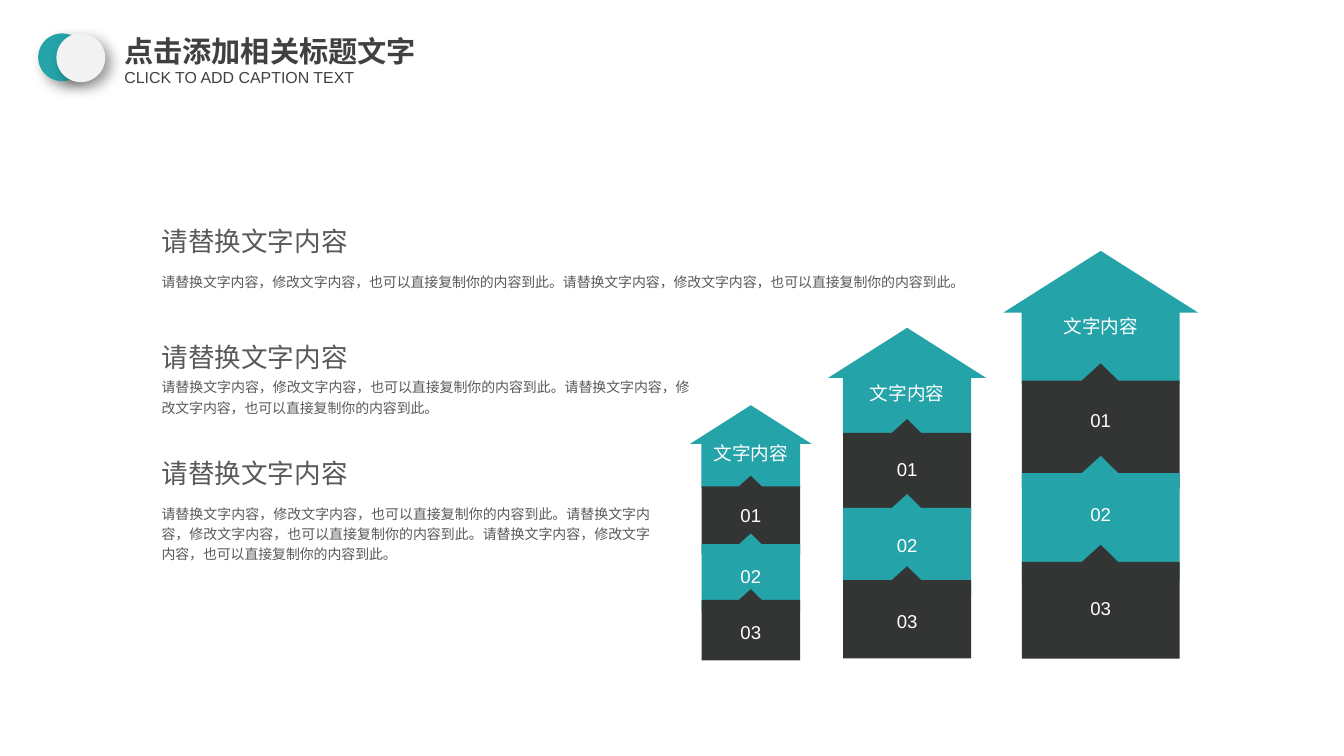
from lxml.etree import SubElement
from pptx import Presentation
from pptx.dml.color import RGBColor
from pptx.enum.shapes import MSO_SHAPE as SHAPE
from pptx.enum.text import MSO_ANCHOR as ANCHOR, MSO_AUTO_SIZE as AUTO, PP_ALIGN as ALIGN
from pptx.oxml.ns import qn
from pptx.util import Inches, Pt

COLORS = {"teal": "24A3A9", "dark": "333534", "disc": "F2F2F2", "title": "404040",
          "text": "595959", "white": "FFFFFF", "shadow": "000000"}
FONT = "Arial"
WIDTH, HEIGHT = Inches(14.06), Inches(7.91)
HEADING = "请替换文字内容"
SENTENCE = "请替换文字内容，修改文字内容，也可以直接复制你的内容到此。"
TIPS = (0.276, 0.503, 0.721)
FLOORS = (0.583, 0.81, 1)
LABELS = ("文字内容", "01", "02", "03")


def area(x, y, w, h):
    """Turn percentages of the slide into left, top, width and height."""
    return [int(v * side / 100) for v, side in zip((x, y, w, h), (WIDTH, HEIGHT) * 2)]


def paint(sp, color):
    """Give a shape a plain fill without outline or shadow."""
    sp.fill.solid()
    sp.fill.fore_color.rgb = RGBColor.from_string(COLORS[color])
    sp.line.fill.background()
    sp.shadow.inherit = False


def cast_shadow(sp):
    """Add a soft shadow towards the lower right."""
    effects = sp._element.spPr.find(qn("a:effectLst"))
    shadow = SubElement(effects, qn("a:outerShdw"), blurRad=str(Pt(10)), dist=str(Pt(6)),
                        dir="2700000", algn="tl", rotWithShape="0")
    tint = SubElement(shadow, qn("a:srgbClr"), val=COLORS["shadow"])
    SubElement(tint, qn("a:alpha"), val="40000")


def write(sp, text, size, color, align=ALIGN.LEFT, anchor=ANCHOR.MIDDLE,
          spacing=1.2, wrap=True, bold=False):
    """Fill a text shape with one formatted run."""
    tf = sp.text_frame
    tf.margin_left = tf.margin_right = tf.margin_top = tf.margin_bottom = 0
    tf.word_wrap, tf.vertical_anchor = wrap, anchor
    tf.auto_size = AUTO.SHAPE_TO_FIT_TEXT
    p = tf.paragraphs[0]
    p.alignment, p.line_spacing, p.space_before = align, spacing, Pt(0)
    r = p.add_run()
    r.text = text
    r.font.size, r.font.name, r.font.bold = Pt(size), FONT, bold
    r.font.color.rgb = RGBColor.from_string(COLORS[color])
    SubElement(r.font._element, qn("a:ea"), typeface=FONT)


def add_header(s, x, y):
    """Place the two discs, the title and the caption."""
    for dx, w, h, color in ((0, 3.56, 6.32, "teal"), (1.36, 3.63, 6.45, "disc")):
        disc = s.shapes.add_shape(SHAPE.OVAL, *area(x + dx, y, w, h))
        paint(disc, color)
        cast_shadow(disc)
    title = s.shapes.title
    title.left, title.top, title.width, title.height = area(x + 6.41, y, 23.68, 4.68)
    write(title, "点击添加相关标题文字", 22, "title", anchor=ANCHOR.TOP, spacing=1, bold=True)
    caption = s.shapes.add_textbox(*area(x + 6.41, y + 4.56, 23.68, 2.53))
    write(caption, "CLICK TO ADD CAPTION TEXT", 12, "title", anchor=ANCHOR.TOP, spacing=1)


def add_paragraph_block(s, x, y, w, gap, lines, repeats):
    """Place a heading with its justified paragraph below."""
    heading = s.shapes.add_textbox(*area(x, y, 15.22, 4.68))
    write(heading, HEADING, 20, "text")
    body = s.shapes.add_textbox(*area(x, y + gap, w, 2.6 * lines))
    write(body, SENTENCE * repeats, 10.5, "text", ALIGN.JUSTIFY)


def add_tower(s, box, centers):
    """Stack an arrow roof and three notched floors, labelled at the given heights."""
    left, top, w, h = area(*box)
    roof_w = int(w * 1.235)
    roof = s.shapes.add_shape(SHAPE.UP_ARROW, left + (w - roof_w) // 2, top,
                              roof_w, int(h * 0.326))
    roof.adjustments[0], roof.adjustments[1] = 0.811, 0.465
    paint(roof, "teal")
    for tip, floor, color in zip(TIPS, FLOORS, ("dark", "teal", "dark")):
        eave = tip + 0.042
        outline = ((0.5, tip), (0.38, eave), (0, eave), (0, floor),
                   (1, floor), (1, eave), (0.61, eave))
        points = [(int(left + w * u), int(top + h * v)) for u, v in outline]
        builder = s.shapes.build_freeform(*points[0])
        builder.add_line_segments(points[1:], close=True)
        paint(builder.convert_to_shape(), color)
    for label, center in zip(LABELS, centers):
        _, _, label_w, label_h = area(0, 0, 5.62 if label == LABELS[0] else 1.56, 3.29)
        tag = s.shapes.add_textbox(left + (w - label_w) // 2,
                                   int(top + h * center - label_h / 2), label_w, label_h)
        write(tag, label, 14, "white", ALIGN.CENTER, wrap=False)


def main():
    """Build the slide and save it."""
    prs = Presentation()
    prs.slide_width, prs.slide_height = WIDTH, HEIGHT
    s = prs.slides.add_slide(prs.slide_layouts[5])
    add_tower(s, (76.03, 33.19, 11.74, 53.92), (0.18, 0.41, 0.64, 0.87))
    add_tower(s, (62.73, 43.36, 9.53, 43.74), (0.19, 0.42, 0.65, 0.88))
    add_tower(s, (52.2, 53.6, 7.33, 33.75), (0.18, 0.42, 0.66, 0.88))
    blocks = ((62.66, 6.7, 1, 2), (39.33, 5.31, 2, 2), (36.42, 6.7, 3, 3))
    for i, block in enumerate(blocks):
        add_paragraph_block(s, 12.02, 29.08 + 15.36 * i, *block)
    add_header(s, 2.84, 4.42)
    prs.save("out.pptx")


if __name__ == "__main__":
    main()
